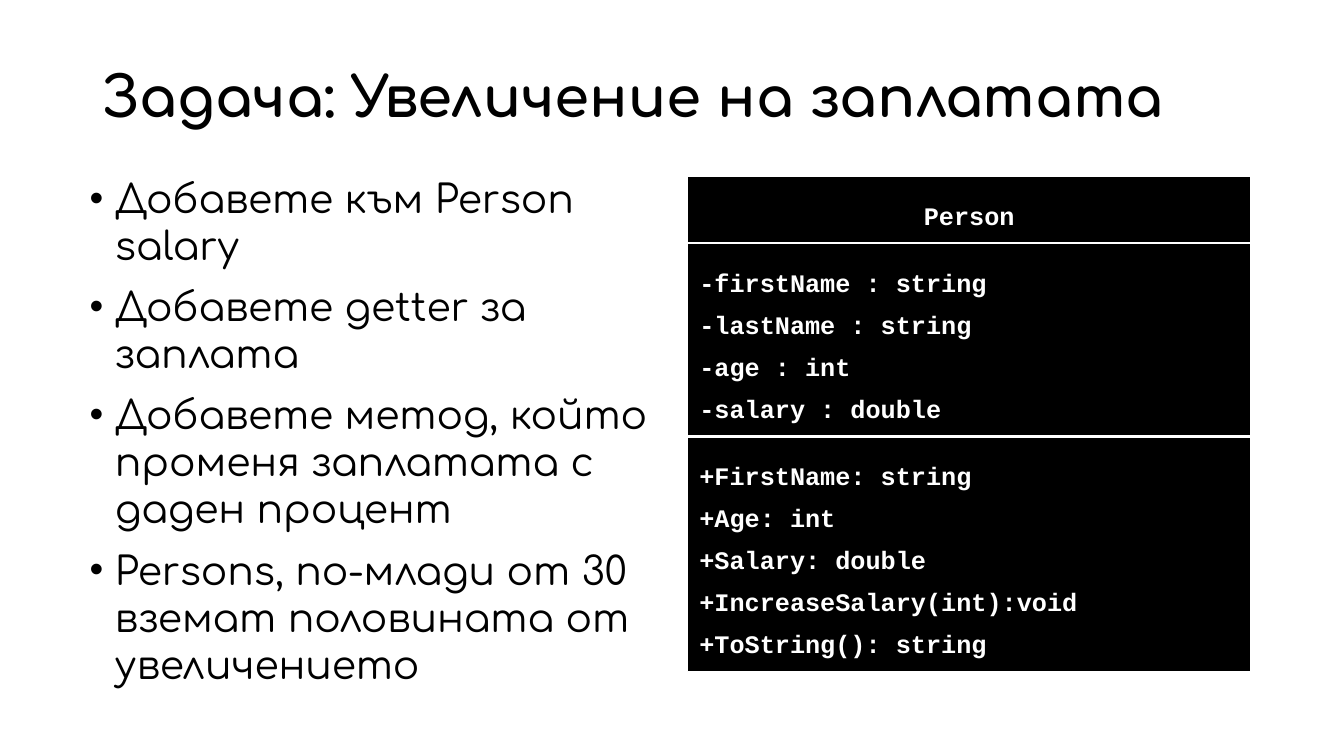
import pptx
import pptx.dml.color
import pptx.enum.shapes
import pptx.enum.text
import pptx.oxml
import pptx.oxml.ns
import pptx.util

Pt = pptx.util.Pt
ALIGN = pptx.enum.text.PP_ALIGN
ANCHOR = pptx.enum.text.MSO_ANCHOR


def color(hex_code):
    """Turn a hex string into a colour."""
    return pptx.dml.color.RGBColor.from_string(hex_code)


class SlideBuilder:
    """Holds the style and the current slide."""

    text_font = "Comfortaa"
    code_font = "Courier New"
    black = "000000"
    white = "FFFFFF"

    def __init__(self, deck):
        """Add a title-only slide to the deck."""
        self.slide = deck.slides.add_slide(deck.slide_layouts[5])

    def add_run(self, para, text, font, size, hex_code, bold=False):
        """Add one formatted run to a paragraph."""
        span = para.add_run()
        span.text = text
        span.font.name = font
        span.font.size = Pt(size)
        span.font.bold = bold
        span.font.color.rgb = color(hex_code)

    def next_para(self, frame, index):
        """Return the first paragraph, or a new one after it."""
        return frame.add_paragraph() if index else frame.paragraphs[0]

    def title(self, text, left, top, width, height):
        """Place and fill the title placeholder."""
        box = self.slide.shapes.title
        box.left, box.top = Pt(left), Pt(top)
        box.width, box.height = Pt(width), Pt(height)
        box.text_frame.vertical_anchor = ANCHOR.MIDDLE
        para = box.text_frame.paragraphs[0]
        para.alignment = ALIGN.LEFT
        para.line_spacing = 0.9
        self.add_run(para, text, self.text_font, 40, self.black, bold=True)

    def bullets(self, items, left, top, width, height):
        """Add a bulleted list with hanging indents."""
        box = self.slide.shapes.add_textbox(Pt(left), Pt(top), Pt(width), Pt(height))
        frame = box.text_frame
        frame.word_wrap = True
        for index, item in enumerate(items):
            para = self.next_para(frame, index)
            para.space_before = Pt(10)
            self.add_run(para, item, self.text_font, 28, self.black)
            properties = para._p.get_or_add_pPr()
            properties.set("marL", str(Pt(18)))
            properties.set("indent", str(-Pt(18)))
            namespace = pptx.oxml.ns.nsdecls("a")
            for tag in (f'<a:buFont {namespace} typeface="Arial"/>',
                        f'<a:buChar {namespace} char="•"/>'):
                properties.append(pptx.oxml.parse_xml(tag))

    def class_section(self, lines, left, top, width, height, alignment):
        """Add one black compartment of the class diagram."""
        box = self.slide.shapes.add_shape(
            pptx.enum.shapes.MSO_SHAPE.RECTANGLE, Pt(left), Pt(top), Pt(width), Pt(height))
        box.shadow.inherit = False
        box.fill.solid()
        box.fill.fore_color.rgb = color(self.black)
        box.line.color.rgb = color(self.white)
        box.line.width = Pt(1)
        frame = box.text_frame
        frame.word_wrap = True
        frame.vertical_anchor = ANCHOR.TOP
        frame.margin_left = frame.margin_right = Pt(8.5)
        frame.margin_top = frame.margin_bottom = Pt(8.5)
        for index, line in enumerate(lines):
            para = self.next_para(frame, index)
            para.alignment = alignment
            para.line_spacing = Pt(30)
            self.add_run(para, line, self.code_font, 18, self.white, bold=True)

    def class_diagram(self, sections, left, top, width, gap):
        """Stack compartments, each as tall as its lines need."""
        for lines, alignment in sections:
            height = 30 * len(lines) + 17.5
            self.class_section(lines, left, top, width, height, alignment)
            top += height + gap


deck = pptx.Presentation()
deck.slide_width, deck.slide_height = Pt(960), Pt(540)
page = SlideBuilder(deck)
page.title("Задача: Увеличение на заплатата", 66, 28.8, 828, 84)
page.bullets([
    "Добавете към Person salary",
    "Добавете getter за заплата",
    "Добавете метод, който променя заплатата с даден процент",
    "Persons, по-млади от 30 вземат половината от увеличението",
], 57, 121, 445, 390)
page.class_diagram([
    (["Person"], ALIGN.CENTER),
    (["-firstName : string", "-lastName : string", "-age : int",
      "-salary : double"], ALIGN.LEFT),
    (["+FirstName: string", "+Age: int", "+Salary: double",
      "+IncreaseSalary(int):void", "+ToString(): string"], ALIGN.LEFT),
], left=491, top=126, width=402.5, gap=0.5)
deck.save("out.pptx")
